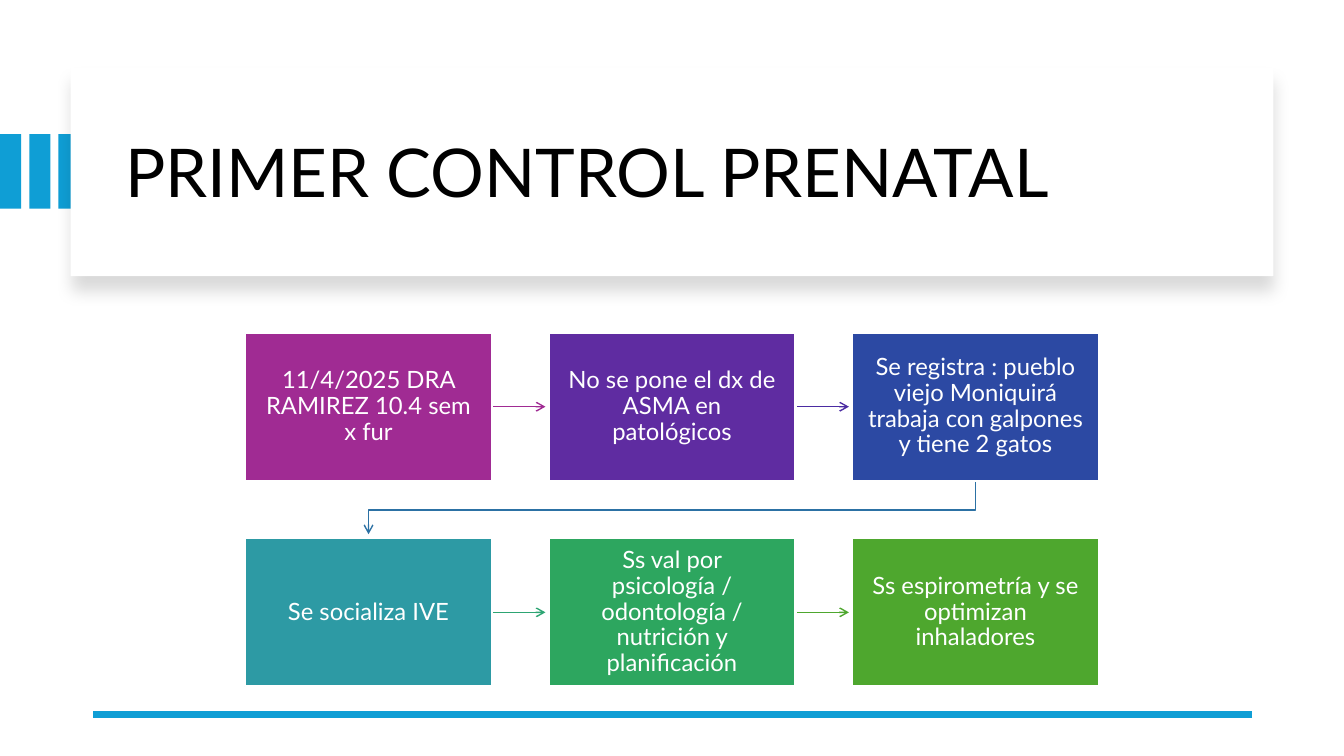
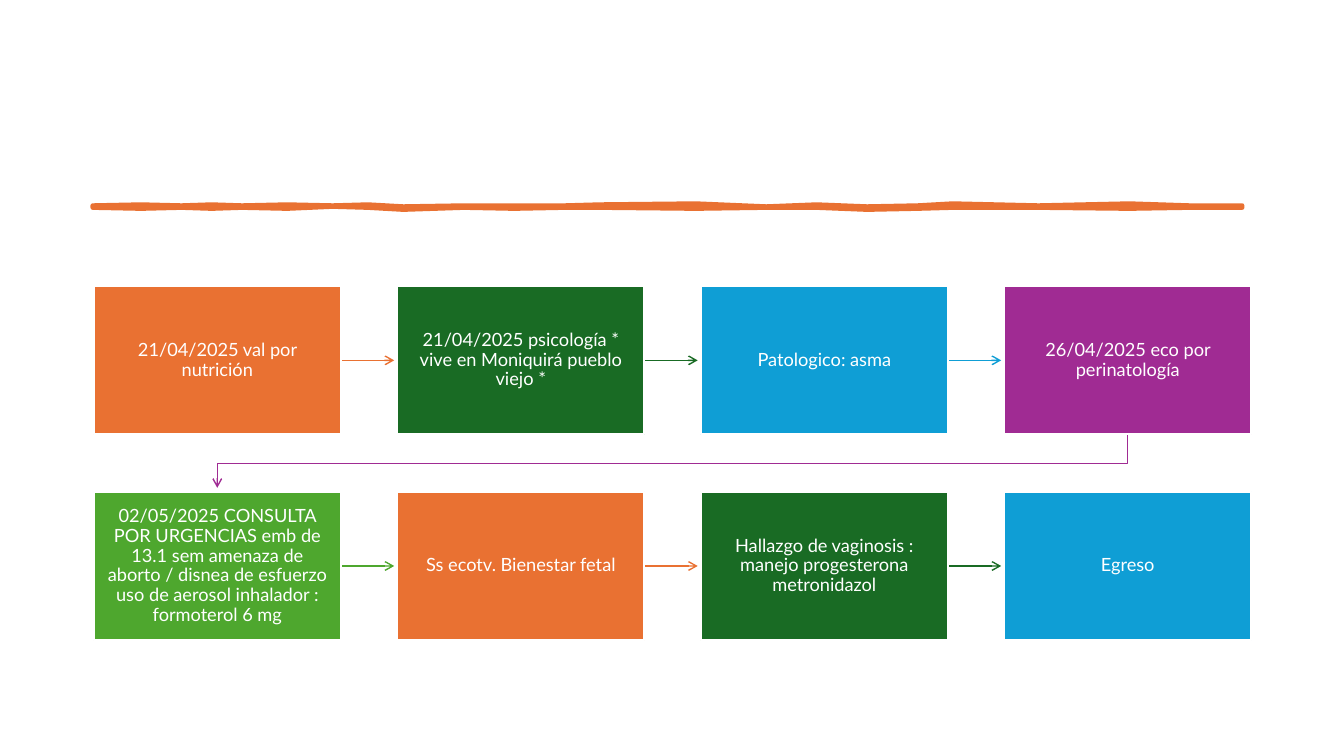
from pptx import Presentation
from pptx.dml.color import RGBColor
from pptx.enum.shapes import MSO_CONNECTOR, MSO_SHAPE
from pptx.enum.text import MSO_ANCHOR, PP_ALIGN
from pptx.oxml import parse_xml
from pptx.oxml.ns import nsdecls, qn
from pptx.util import Inches, Pt

FONT = "Lato"
BLUE, ORANGE, GREEN = "0F9ED5", "E97132", "196B24"
PURPLE, LIME, WHITE, BLACK = "A02B93", "4EA72E", "FFFFFF", "000000"
BOX_W, BOX_H = 2.45, 1.47
PITCH_X, PITCH_Y = 3.01, 2.04
ARROW_LEN = 0.53
BOX_FRAME = {
    "word_wrap": True,
    "vertical_anchor": MSO_ANCHOR.MIDDLE,
    "margin_left": Inches(0.12),
    "margin_right": Inches(0.12),
    "margin_top": Inches(0.13),
    "margin_bottom": Inches(0.13),
}
TITLE_FRAME = {"word_wrap": True, "vertical_anchor": MSO_ANCHOR.MIDDLE}

CONTROL_STEPS = [
    ("11/4/2025 DRA RAMIREZ 10.4 sem x fur", PURPLE, PURPLE),
    ("No se pone el dx de ASMA en patológicos", "5F2CA1", "4B2CA2"),
    ("Se registra : pueblo viejo Moniquirá trabaja con galpones y tiene 2 gatos",
     "2C49A3", "2C71A4"),
    ("Se socializa IVE", "2D9AA4", "2DA573"),
    ("Ss val por psicología / odontología / nutrición y planificación",
     "2DA65F", LIME),
    ("Ss espirometría y se optimizan inhaladores", LIME, LIME),
]
FOLLOW_UP_STEPS = [
    ("21/04/2025 val por nutrición", ORANGE, ORANGE),
    ("21/04/2025 psicología * vive en Moniquirá pueblo viejo *", GREEN, GREEN),
    ("Patologico: asma", BLUE, BLUE),
    ("26/04/2025 eco por perinatología", PURPLE, PURPLE),
    ("02/05/2025 CONSULTA POR URGENCIAS emb de 13.1 sem amenaza de aborto / "
     "disnea de esfuerzo uso de aerosol inhalador : formoterol 6 mg", LIME, LIME),
    ("Ss ecotv. Bienestar fetal", ORANGE, ORANGE),
    ("Hallazgo de vaginosis : manejo progesterona metronidazol", GREEN, GREEN),
    ("Egreso", BLUE, BLUE),
]
BRUSH_EDGES = [
    (0.92, 2.04, 2.06), (1.4, 2.03, 2.07), (1.8, 2.04, 2.06),
    (2.1, 2.03, 2.07), (2.4, 2.04, 2.06), (2.85, 2.03, 2.07),
    (3.3, 2.04, 2.05), (3.65, 2.03, 2.06), (4, 2.05, 2.08),
    (4.6, 2.04, 2.06), (5.1, 2.04, 2.07), (5.6, 2.04, 2.06),
    (5.95, 2.03, 2.06), (6.9, 2.02, 2.07), (7.6, 2.05, 2.06),
    (8.1, 2.03, 2.06), (8.6, 2.05, 2.08), (9.1, 2.04, 2.07),
    (9.45, 2.02, 2.06), (10.3, 2.04, 2.06), (11.2, 2.02, 2.07),
    (11.8, 2.04, 2.06), (12.32, 2.04, 2.06),
]


def rgb(value):
    return RGBColor.from_string(value)


def set_attrs(target, values):
    for name, value in values.items():
        setattr(target, name, value)


def set_fill(shape, color):
    shape.fill.solid()
    shape.fill.fore_color.rgb = rgb(color)


def set_line(shape, color, width):
    shape.line.color.rgb = rgb(color)
    shape.line.width = Pt(width)


def add_rect(s, left, top, width, height, color):
    sp = s.shapes.add_shape(MSO_SHAPE.RECTANGLE, Inches(left), Inches(top),
                            Inches(width), Inches(height))
    sp.shadow.inherit = False
    set_fill(sp, color)
    sp.line.fill.background()
    return sp


def write_text(sp, text, size, color, align, frame):
    tf = sp.text_frame
    set_attrs(tf, frame)
    p = tf.paragraphs[0]
    set_attrs(p, {"alignment": align, "line_spacing": 0.9})
    r = p.add_run()
    r.text = text
    set_attrs(r.font, {"name": FONT, "size": Pt(size)})
    r.font.color.rgb = rgb(color)


def add_line(s, start, end, color, width):
    c = s.shapes.add_connector(MSO_CONNECTOR.STRAIGHT,
                               *(Inches(v) for v in (*start, *end)))
    set_line(c, color, width)
    c.element.spPr.append(parse_xml(f"<a:effectLst {nsdecls('a')}/>"))
    return c


def add_outline(s, points, closed):
    (x, y), *rest = [(Inches(px), Inches(py)) for px, py in points]
    builder = s.shapes.build_freeform(x, y)
    builder.add_line_segments(rest, close=closed)
    sp = builder.convert_to_shape()
    sp.shadow.inherit = False
    return sp


def add_arrowhead(sp):
    ln = sp.element.spPr.find(qn("a:ln"))
    ln.append(parse_xml(f'<a:tailEnd {nsdecls("a")} type="arrow"/>'))


def add_next_arrow(s, x, y, color):
    start = (x + BOX_W, y + BOX_H / 2)
    add_arrowhead(add_line(s, start, (start[0] + ARROW_LEN, start[1]), color, 1))


def add_return_arrow(s, x, y, first_x, color):
    x, y, end_x = x + BOX_W / 2, y + BOX_H, first_x + BOX_W / 2
    points = [(x, y), (x, y + 0.29), (end_x, y + 0.29), (end_x, y + ARROW_LEN)]
    sp = add_outline(s, points, False)
    sp.fill.background()
    set_line(sp, color, 1)
    add_arrowhead(sp)


def add_flow(s, steps, left, top, columns, size):
    for i, (text, fill, arrow) in enumerate(steps):
        row, col = divmod(i, columns)
        x, y = left + col * PITCH_X, top + row * PITCH_Y
        if col < columns - 1:
            add_next_arrow(s, x, y, arrow)
        elif i < len(steps) - 1:
            add_return_arrow(s, x, y, left, arrow)
        sp = add_rect(s, x, y, BOX_W, BOX_H, fill)
        set_line(sp, WHITE, 1.5)
        write_text(sp, text, size, WHITE, PP_ALIGN.CENTER, BOX_FRAME)


def add_title_card(s, text):
    for i in range(3):
        add_rect(s, i * 0.29, 1.33, 0.21, 0.74, BLUE)
    card = add_rect(s, 0.7, 0.67, 11.93, 2.07, WHITE)
    effects = card.element.spPr.find(qn("a:effectLst"))
    effects.append(parse_xml(
        f'<a:outerShdw {nsdecls("a")} blurRad="{Pt(11)}" dist="{Pt(10)}" '
        f'dir="5400000" algn="t" rotWithShape="0"><a:srgbClr val="{BLACK}">'
        '<a:alpha val="15000"/></a:srgbClr></a:outerShdw>'))
    title = s.shapes.title
    set_attrs(title, {"left": Inches(1.14), "top": Inches(0.89),
                      "width": Inches(11.13), "height": Inches(1.7)})
    write_text(title, text, 48, BLACK, PP_ALIGN.LEFT, TITLE_FRAME)
    card.element.addnext(title.element)


def add_brush_stroke(s):
    upper = [(x, top) for x, top, _ in BRUSH_EDGES]
    lower = [(x, bottom) for x, _, bottom in reversed(BRUSH_EDGES)]
    sp = add_outline(s, upper + lower, True)
    set_fill(sp, ORANGE)
    set_line(sp, ORANGE, 3.25)


def build_control(prs):
    s = prs.slides.add_slide(prs.slide_layouts[5])
    add_title_card(s, "PRIMER CONTROL PRENATAL")
    add_line(s, (12.42, 7.09), (0.92, 7.09), BLUE, 4.5)
    add_flow(s, CONTROL_STEPS, 2.43, 3.3, 3, 17)


def build_follow_up(prs):
    s = prs.slides.add_slide(prs.slide_layouts[6])
    add_brush_stroke(s)
    add_flow(s, FOLLOW_UP_STEPS, 0.93, 2.84, 4, 13)


def main():
    prs = Presentation()
    set_attrs(prs, {"slide_width": Inches(13.33), "slide_height": Inches(7.5)})
    build_control(prs)
    build_follow_up(prs)
    prs.save("out.pptx")


if __name__ == "__main__":
    main()
